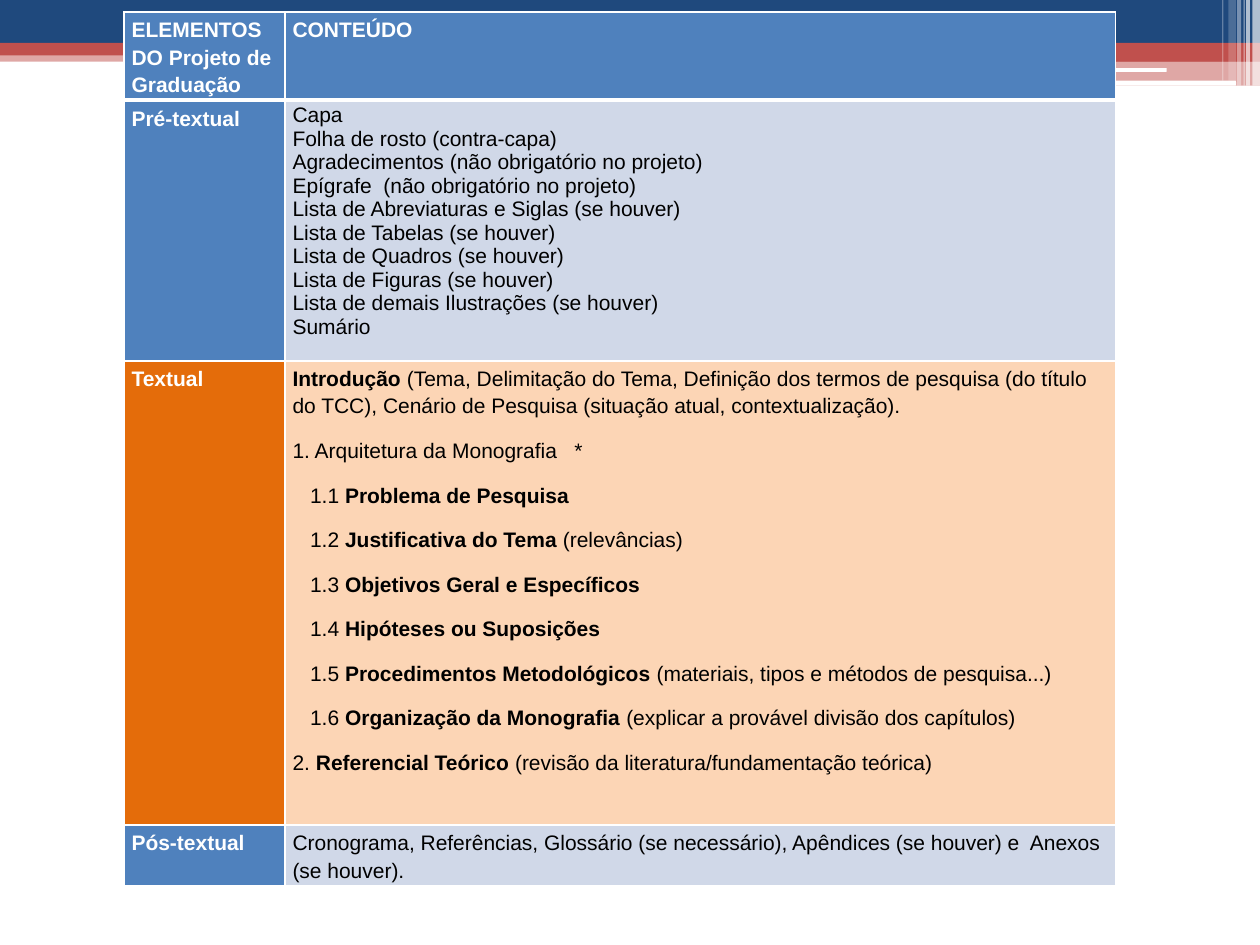
from dataclasses import dataclass
from lxml.etree import SubElement
from pptx import Presentation
from pptx.dml.color import RGBColor
from pptx.enum.shapes import MSO_SHAPE
from pptx.enum.text import MSO_ANCHOR
from pptx.oxml.ns import qn
from pptx.util import Pt


@dataclass(frozen=True)
class Theme:
    font: str = "Arial"
    size: float = 12
    navy: str = "1F497D"
    red: str = "C0504D"
    blue: str = "4F81BD"
    pale: str = "D0D8E8"
    orange: str = "E46C0A"
    peach: str = "FCD5B5"
    white: str = "FFFFFF"
    black: str = "000000"


THEME = Theme()

# Rows: label, content paragraphs, label fill, content fill, height.
# Bars inside the text switch bold on and off.
HEAD = ("|ELEMENTOS DO Projeto de Graduação", ["|CONTEÚDO"],
        THEME.blue, THEME.blue, 50.4)
PRE = ("|Pré-textual", [
    "Capa",
    "Folha de rosto (contra-capa)",
    "Agradecimentos (não obrigatório no projeto)",
    "Epígrafe  (não obrigatório no projeto)",
    "Lista de Abreviaturas e Siglas (se houver)",
    "Lista de Tabelas (se houver)",
    "Lista de Quadros (se houver)",
    "Lista de Figuras (se houver)",
    "Lista de demais Ilustrações (se houver)",
    "Sumário",
], THEME.blue, THEME.pale, 149)
BODY = ("|Textual", [
    "|Introdução| (Tema, Delimitação do Tema, Definição dos termos de pesquisa "
    "(do título do TCC), Cenário de Pesquisa (situação atual, contextualização).",
    "1. Arquitetura da Monografia\t*",
    "1.1 |Problema de Pesquisa",
    "1.2 |Justificativa do Tema |(relevâncias)",
    "1.3 |Objetivos Geral e Específicos",
    "1.4 |Hipóteses ou Suposições",
    "1.5 |Procedimentos Metodológicos |(materiais, tipos e métodos de pesquisa...)",
    "1.6 |Organização da Monografia |(explicar a provável divisão dos capítulos)",
    "2. |Referencial Teórico |(revisão da literatura/fundamentação teórica)",
], THEME.orange, THEME.peach, 265.2)
POST = ("|Pós-textual", [
    "Cronograma, Referências, Glossário (se necessário), Apêndices (se houver) "
    "e  Anexos (se houver).",
], THEME.blue, THEME.pale, 35)
ROWS = [HEAD, PRE, BODY, POST]

# Header bands: left, top, width, height, colour, opacity
BANDS = [
    (0, 28.8, 720, 6.5, THEME.red, 50),
    (0, 0, 720, 24.5, THEME.navy, 100),
    (0, 24.5, 720, 7.2, THEME.red, 100),
    (426.2, 28.1, 293.8, 7.2, THEME.red, 100),
    (426.2, 34.6, 293.8, 14.4, THEME.red, 50),
]
# Rounded white lines: left, top, width, height
LINES = [(425.5, 38.9, 241.2, 2.2), (580.3, 46.1, 126, 2.9)]
# White stripes at the right edge: left, width, height, opacity
STRIPES = [
    (715.7, 4.3, 49, 65), (712.1, 2.2, 49, 65), (710.6, 0.7, 49, 60),
    (707, 2.2, 49, 40), (702, 4.3, 46.1, 20), (698.4, 0.7, 46.1, 30),
]


class Deck:
    def __init__(self, theme):
        self.theme = theme
        self.prs = Presentation()
        self.prs.slide_width, self.prs.slide_height = Pt(720), Pt(540)
        self.slide = self.prs.slides.add_slide(self.prs.slide_layouts[6])

    def bar(self, box, color, alpha=100, kind=MSO_SHAPE.RECTANGLE):
        shape = self.slide.shapes.add_shape(kind, *map(Pt, box))
        shape.shadow.inherit = False
        shape.line.fill.background()
        shape.fill.solid()
        shape.fill.fore_color.rgb = RGBColor.from_string(color)
        if alpha < 100:
            tint = shape.fill._xPr.find(".//" + qn("a:srgbClr"))
            SubElement(tint, qn("a:alpha"), val=str(alpha * 1000))

    def edge(self, cell, sides):
        props = cell._tc.get_or_add_tcPr()
        for side, width in sides.items():
            line = SubElement(props, qn("a:ln" + side), w=str(Pt(width)))
            fill = SubElement(line, qn("a:solidFill"))
            SubElement(fill, qn("a:srgbClr"), val=self.theme.white)

    def text(self, para, text, color, loose):
        if loose:
            para.line_spacing, para.space_after = 1.15, Pt(10)
        props = para._p.get_or_add_pPr()
        if text.startswith("1."):
            if text[2].isdigit():
                props.set("marL", str(Pt(10)))
            if "\t" in text:
                tabs = SubElement(props, qn("a:tabLst"))
                SubElement(tabs, qn("a:tab"), pos=str(Pt(161)), algn="l")
        for part, words in enumerate(text.split("|")):
            if words:
                run = para.add_run()
                run.text = words
                look = {"name": self.theme.font, "size": Pt(self.theme.size),
                        "bold": part % 2 == 1}
                for key, value in look.items():
                    setattr(run.font, key, value)
                run.font.color.rgb = RGBColor.from_string(color)

    def cell(self, cell, texts, fill, color, sides, loose=True):
        look = {"margin_left": Pt(4.3), "margin_right": Pt(4.3),
                "margin_top": Pt(2), "margin_bottom": Pt(2),
                "vertical_anchor": MSO_ANCHOR.TOP}
        for key, value in look.items():
            setattr(cell, key, value)
        self.edge(cell, sides)
        cell.fill.solid()
        cell.fill.fore_color.rgb = RGBColor.from_string(fill)
        frame = cell.text_frame
        for place, text in enumerate(texts):
            para = frame.add_paragraph() if place else frame.paragraphs[0]
            self.text(para, text, color, loose)

    def table(self, left, top, widths, rows):
        high = sum(row[-1] for row in rows)
        box = map(Pt, (left, top, sum(widths), high))
        grid = self.slide.shapes.add_table(len(rows), len(widths), *box).table
        grid.horz_banding = False
        for col, width in zip(grid.columns, widths):
            col.width = Pt(width)
        for place, (label, texts, dark, light, height) in enumerate(rows):
            grid.rows[place].height = Pt(height)
            # Thick rule between the heading and the rows
            sides = {"L": 1, "R": 1, "T": 3 if place == 1 else 1,
                     "B": 3 if place == 0 else 1}
            ink = self.theme.black if place else self.theme.white
            self.cell(grid.cell(place, 0), [label], dark, self.theme.white, sides)
            self.cell(grid.cell(place, 1), texts, light, ink, sides,
                      loose=rows[place] is not PRE)


def main():
    deck = Deck(THEME)
    # Header decoration
    for *box, color, alpha in BANDS:
        deck.bar(box, color, alpha)
    for box in LINES:
        deck.bar(box, THEME.white, kind=MSO_SHAPE.ROUNDED_RECTANGLE)
    for left, width, height, alpha in STRIPES:
        deck.bar((left, 0, width, height), THEME.white, alpha)
    # Project parts and their content
    deck.table(70.9, 6.8, (92, 474.6), ROWS)
    deck.prs.save("out.pptx")


if __name__ == "__main__":
    main()
